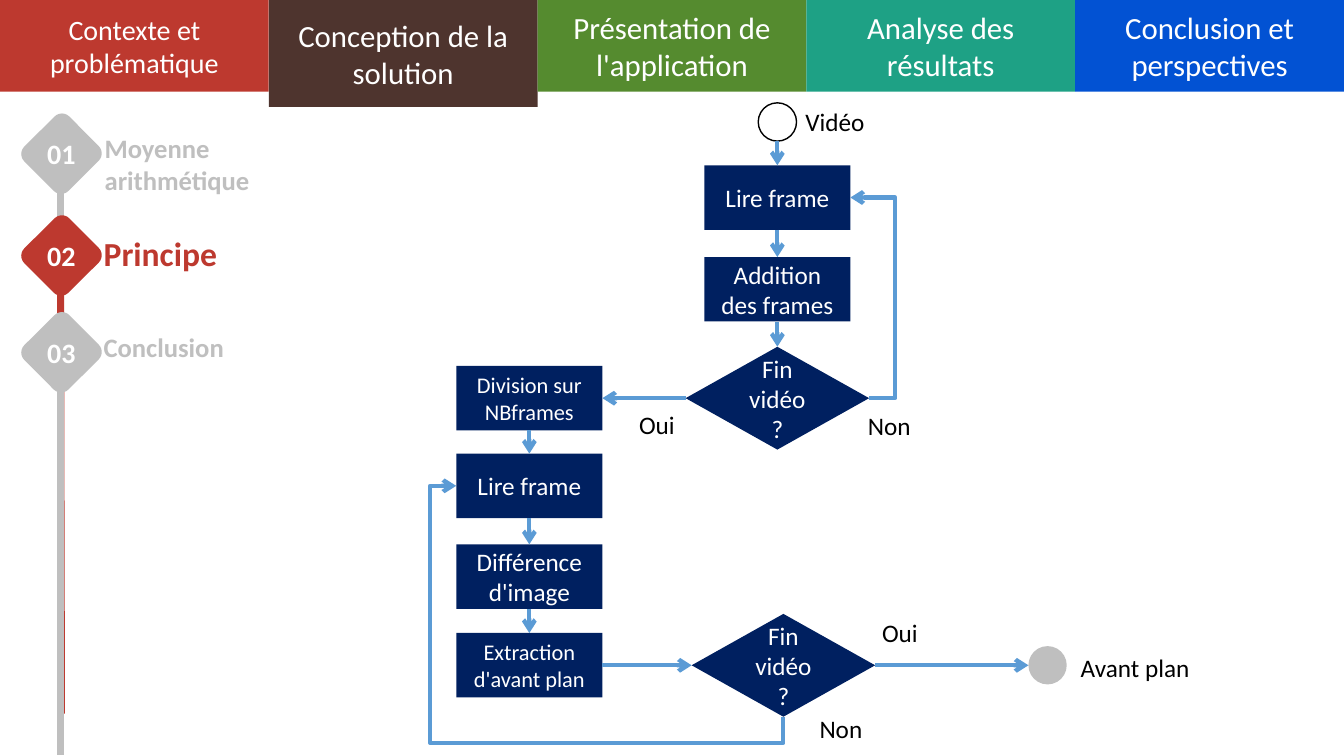
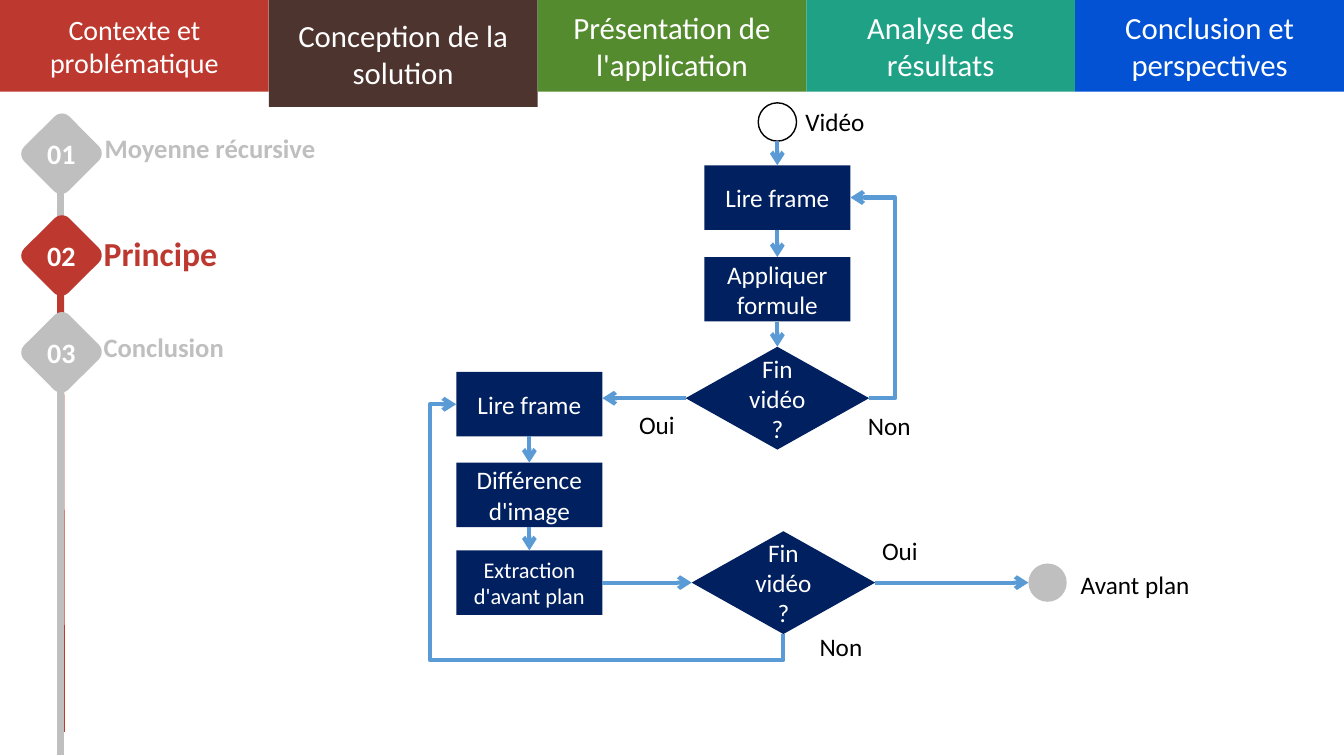
import pptx
import pptx.util
import pptx.dml.color
import pptx.enum.shapes
import pptx.enum.text
from lxml import etree

Inches, Pt = pptx.util.Inches, pptx.util.Pt
SHAPE = pptx.enum.shapes.MSO_SHAPE
LINK = pptx.enum.shapes.MSO_CONNECTOR
ALIGN = pptx.enum.text.PP_ALIGN
ANCHOR = pptx.enum.text.MSO_ANCHOR
A = "{http://schemas.openxmlformats.org/drawingml/2006/main}"

# Content
COLORS = dict(red="BD392F", brown="4E342E", green="558B2F", teal="1EA185", blue="0252D3",
              grey="BFBFBF", navy="002060", arrow="5B9BD5", white="FFFFFF", black="000000")
BANDS = [  # text, colour, size, height
    ("Contexte et problématique", "red", 20, 0.91),
    ("Conception de la solution", "brown", 22, 1.06),
    ("Présentation de l'application", "green", 22, 0.91),
    ("Analyse des résultats", "teal", 22, 0.91),
    ("Conclusion et perspectives", "blue", 22, 0.91),
]
SLIDES = [
    dict(method="Moyenne arithmétique", update="Addition des frames", red_end=7.08,
         steps=[("Division sur NBframes", 3.63, 16), ("Lire frame", 4.5, 18),
                ("Différence d'image", 5.4, 18), ("Extraction d'avant plan", 6.28, 16)]),
    dict(method="Moyenne récursive", update="Appliquer formule", red_end=7.26,
         steps=[("Lire frame", 3.69, 18), ("Différence d'image", 4.59, 18),
                ("Extraction d'avant plan", 5.46, 16)]),
]
TEST = "Fin vidéo ?"

# Layout, in inches
W, H = 13.33, 7.5
BOX_W, BOX_H = 1.45, 0.64
TEST_W, TEST_H = 1.82, 1.02
DOT = 0.38
LEFT_X, RIGHT_X, TEST2_X = 5.25, 7.71, 7.77  # centres of the columns
READ_Y, UPDATE_Y, TEST_Y = 1.64, 2.55, 3.44  # tops in the right column
RAIL_X = 0.6
LOOP_GAP = 0.26

prs = pptx.Presentation()
prs.slide_width, prs.slide_height = Inches(W), Inches(H)


def rgb(name):
    return pptx.dml.color.RGBColor.from_string(COLORS[name])


def write(tf, text, size=18, color="white", bold=False, align=ALIGN.CENTER, anchor=ANCHOR.MIDDLE):
    tf.word_wrap = True
    tf.vertical_anchor = anchor
    p = tf.paragraphs[0]
    p.alignment = align
    r = p.add_run()
    r.text = text
    r.font.name, r.font.size, r.font.bold = "Calibri", Pt(size), bold
    r.font.color.rgb = rgb(color)


def add_shape(s, kind, x, y, w, h, fill, text="", outline=None, **fmt):
    sp = s.shapes.add_shape(kind, Inches(x), Inches(y), Inches(w), Inches(h))
    sp.shadow.inherit = False
    sp.fill.solid()
    sp.fill.fore_color.rgb = rgb(fill)
    if outline:
        sp.line.color.rgb = rgb(outline)
        sp.line.width = Pt(1)
    else:
        sp.line.fill.background()
    if text:
        write(sp.text_frame, text, **fmt)
    return sp


def add_label(s, text, x, y, w=0.74, h=0.4, color="black", **fmt):
    tb = s.shapes.add_textbox(Inches(x), Inches(y), Inches(w), Inches(h))
    write(tb.text_frame, text, color=color, align=ALIGN.LEFT, anchor=ANCHOR.TOP, **fmt)


def add_line(s, start, end, color="arrow", width=3, arrow=True, kind=LINK.STRAIGHT):
    c = s.shapes.add_connector(kind, *(Inches(v) for v in (*start, *end)))
    c.line.color.rgb = rgb(color)
    c.line.width = Pt(width)
    if arrow:
        etree.SubElement(c.line._get_or_add_ln(), A + "tailEnd", type="arrow")
    etree.SubElement(c._element.spPr, A + "effectLst")
    return c


def set_bends(c, preset, *shares):
    geom = c._element.spPr.find(A + "prstGeom")
    geom.set("prst", preset)
    guides = geom.find(A + "avLst")
    if guides is None:
        guides = etree.SubElement(geom, A + "avLst")
    for i, share in enumerate(shares, 1):
        etree.SubElement(guides, A + "gd", name=f"adj{i}", fmla=f"val {round(share * 100000)}")


def add_side_loop(s, start, end):
    """From the right of a test, out to the right and back up to a box."""
    c = add_line(s, start, end, kind=LINK.ELBOW)
    set_bends(c, "bentConnector3", -LOOP_GAP / (start[0] - end[0]))


def add_under_loop(s, start, end):
    """From the bottom of a test, down, left and up to the left side of a box."""
    c = add_line(s, start, end, kind=LINK.ELBOW)
    w, h = start[0] - end[0], start[1] - end[1]
    # The preset starts sideways, so its frame is a quarter turn of the route
    c.left, c.top = Inches((start[0] + end[0] - h) / 2), Inches((start[1] + end[1] - w) / 2)
    c.width, c.height = Inches(h), Inches(w)
    xfrm = c._element.spPr.find(A + "xfrm")
    xfrm.attrib.pop("flipV", None)
    xfrm.set("flipH", "1")
    xfrm.set("rot", "5400000")
    set_bends(c, "bentConnector4", -LOOP_GAP / h, 1 + LOOP_GAP / w)


def add_marker(s, number, y, color):
    sp = add_shape(s, SHAPE.ROUNDED_RECTANGLE, 0.3, y, 0.62, 0.63, color, number, size=20, bold=True)
    sp.rotation = 45.1
    # Keep the number upright in the turned square
    sp.text_frame._txBody.bodyPr.set("rot", str(round(-45.1 * 60000)))


def add_rail(s, top, bottom, color):
    add_line(s, (RAIL_X, top), (RAIL_X, bottom), color, 5, arrow=False)


def add_frame(s, method, red_end):
    # Progress rail
    add_marker(s, "01", 1.21, "grey")
    add_rail(s, 1.9, 7.19, "grey")
    add_marker(s, "02", 2.22, "red")
    add_line(s, (RAIL_X, 2.72), (RAIL_X + 0.01, red_end), "red", 5, arrow=False)
    add_marker(s, "03", 3.18, "grey")
    add_label(s, method, 0.94, 1.26, 2.43, 0.73, "grey", size=19, bold=True)
    add_label(s, "Conclusion", 0.93, 3.23, 1.85, 0.42, "grey", size=19, bold=True)
    add_label(s, "Principe", 0.93, 2.26, 2.35, 0.5, "red", size=24, bold=True)
    add_rail(s, 3.69, 7.49, "grey")
    # Section bands
    band_w = W / len(BANDS)
    for i, (text, color, size, h) in enumerate(BANDS):
        add_shape(s, SHAPE.RECTANGLE, i * band_w, 0, band_w, h, color, text, size=size)


def add_box(s, text, x, y, size=18):
    add_shape(s, SHAPE.RECTANGLE, x - BOX_W / 2, y, BOX_W, BOX_H, "navy", text, size=size)


def add_test(s, x, y):
    add_shape(s, SHAPE.DIAMOND, x - TEST_W / 2, y, TEST_W, TEST_H, "navy", TEST)


def add_flow(s, update, steps):
    tops = [y for _, y, _ in steps]
    end_y = tops[-1] + BOX_H / 2
    test_mid = TEST_Y + TEST_H / 2
    test2_y = end_y - TEST_H / 2
    loop_y = next(y for text, y, _ in steps if text == "Lire frame") + BOX_H / 2
    left_edge, right_edge = LEFT_X - BOX_W / 2, LEFT_X + BOX_W / 2

    # Nodes
    add_shape(s, SHAPE.OVAL, RIGHT_X - DOT / 2, 1.02, DOT, DOT, "white", outline="black")
    add_label(s, "Vidéo", 7.89, 1.01, 1.43)
    add_box(s, "Lire frame", RIGHT_X, READ_Y)
    add_box(s, update, RIGHT_X, UPDATE_Y)
    add_test(s, RIGHT_X, TEST_Y)
    for text, y, size in steps:
        add_box(s, text, LEFT_X, y, size)
    add_test(s, TEST2_X, test2_y)
    add_shape(s, SHAPE.OVAL, 10.2, end_y - DOT / 2, DOT, DOT, "grey")
    add_label(s, "Avant plan", 10.62, end_y - 0.18, 1.42)

    # Arrows down each column
    drops = [(RIGHT_X, 1.4, READ_Y), (RIGHT_X, READ_Y + BOX_H, UPDATE_Y),
             (RIGHT_X, UPDATE_Y + BOX_H, TEST_Y)]
    drops += [(LEFT_X, a + BOX_H, b) for a, b in zip(tops, tops[1:])]
    for x, top, bottom in drops:
        add_line(s, (x, top), (x, bottom))

    # Arrows across and loops
    add_line(s, (RIGHT_X - TEST_W / 2, test_mid), (right_edge, test_mid))
    add_line(s, (right_edge, end_y), (TEST2_X - TEST_W / 2, end_y))
    add_line(s, (TEST2_X + TEST_W / 2, end_y), (10.2, end_y))
    add_side_loop(s, (RIGHT_X + TEST_W / 2, test_mid), (RIGHT_X + BOX_W / 2, READ_Y + BOX_H / 2))
    add_under_loop(s, (TEST2_X, test2_y + TEST_H), (left_edge, loop_y))

    # Answers
    for text, x, y in [("Non", 8.51, 4.02), ("Oui", 6.24, 4.01),
                       ("Non", 8.03, end_y + 0.43), ("Oui", 8.65, end_y - 0.52)]:
        add_label(s, text, x, y)


for data in SLIDES:
    s = prs.slides.add_slide(prs.slide_layouts[6])
    add_frame(s, data["method"], data["red_end"])
    add_flow(s, data["update"], data["steps"])

prs.save("out.pptx")
